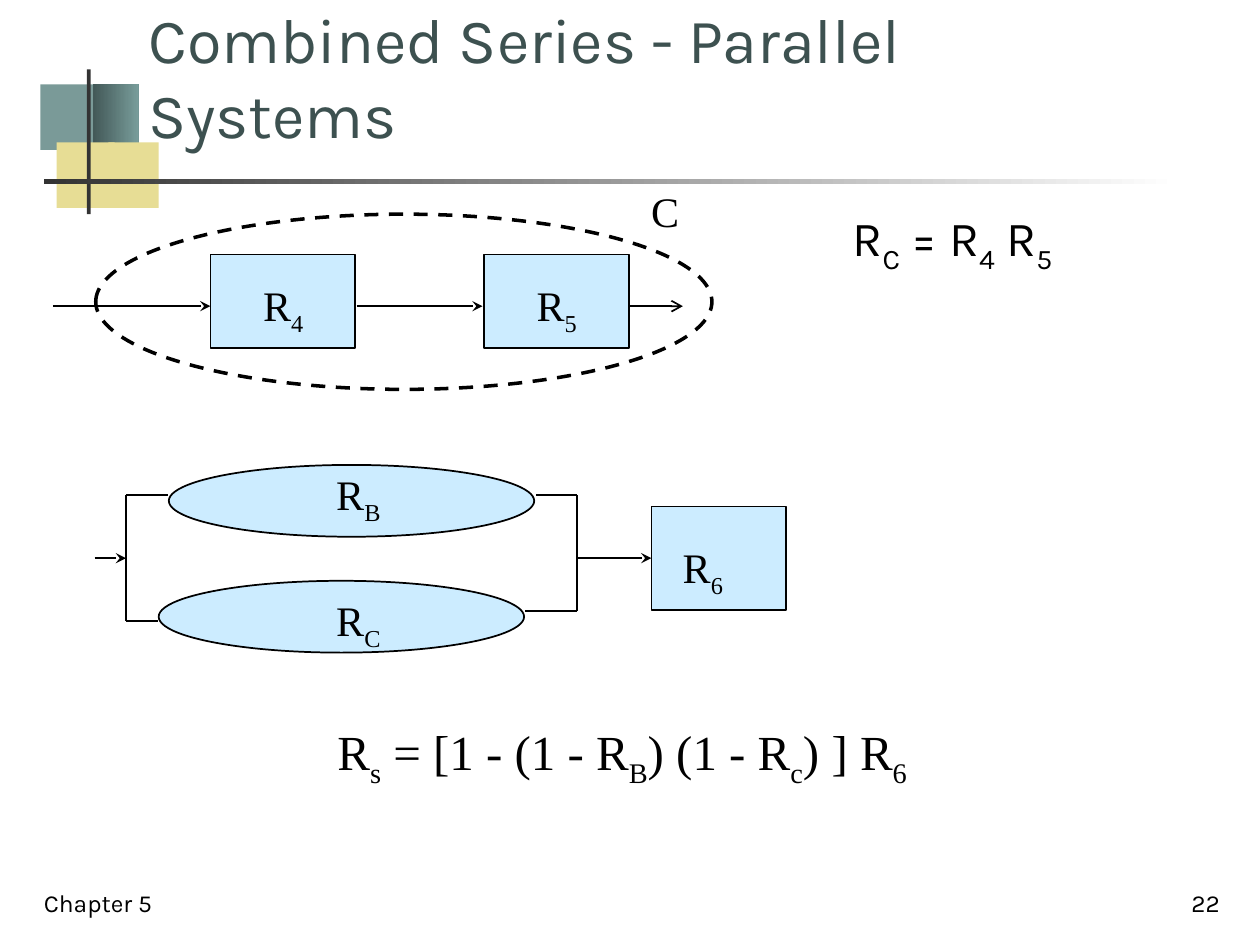
from lxml import etree
from pptx import Presentation, util as u
from pptx.dml.color import RGBColor
from pptx.enum import dml, shapes, text
from pptx.oxml.ns import qn

INK, SKY, SAND = "000000", "CCECFF", "E7DD95"
SANS, SERIF = "Karla", "Times New Roman"
RECT, OVAL = shapes.MSO_SHAPE.RECTANGLE, shapes.MSO_SHAPE.OVAL
LOW, RIGHT = text.MSO_ANCHOR.BOTTOM, text.PP_ALIGN.RIGHT


def tint(code):
    return RGBColor.from_string(code)


def inches(*nums):
    return [u.Inches(n) for n in nums]


def put(obj, opts):
    for key, val in opts.items():
        setattr(obj, key, val)


def form(tree, kind, box, fill=None, line=None, dash=None):
    """Draw a preset shape; a pair of colours makes a gradient."""
    shp = tree.add_shape(kind, *inches(*box))
    shp.shadow.inherit = False
    if isinstance(fill, tuple):
        shp.fill.gradient()
        shp.fill.gradient_angle = 0
        for stop, code in zip(shp.fill.gradient_stops, fill):
            stop.color.rgb = tint(code)
    elif fill:
        shp.fill.solid()
        shp.fill.fore_color.rgb = tint(fill)
    else:
        shp.fill.background()
    if line:
        shp.line.color.rgb = tint(INK)
        put(shp.line, {"width": u.Pt(line), "dash_style": dash})
    else:
        shp.line.fill.background()


def label(tree, box, words, size=24, font=SERIF, code=INK, frame=None, para=None):
    """Write text; every second part between bars is a subscript."""
    tf = tree.add_textbox(*inches(*box)).text_frame
    put(tf, {"word_wrap": False, **(frame or {})})
    p = tf.paragraphs[0]
    put(p, para or {})
    for i, part in enumerate(words.split("|")):
        if not part:
            continue
        run = p.add_run()
        run.text = part
        put(run.font, {"size": u.Pt(size), "name": font})
        run.font.color.rgb = tint(code)
        if i % 2:
            run.font._element.set("baseline", "-25000")


def wire(tree, start, end, head=None):
    """Draw a straight line, with an arrowhead at its end if named."""
    con = tree.add_connector(shapes.MSO_CONNECTOR.STRAIGHT, *inches(*start, *end))
    con.line.color.rgb = tint(INK)
    con.line.width = u.Pt(1)
    if head:
        etree.SubElement(con.line._get_or_add_ln(), qn("a:tailEnd"), type=head)
    etree.SubElement(con._element.spPr, qn("a:effectLst"))


def decor(tree):
    for box, fill in (
        ((0.32, 0.67, 0.48, 0.52), "7A9A98"),
        ((0.74, 0.67, 0.36, 0.52), ("435958", "789C9A")),
        ((0.45, 1.13, 0.46, 0.52), SAND),
        ((0.86, 1.13, 0.4, 0.52), SAND),
        ((0.69, 0.55, 0.03, 1.15), "333333"),
        ((0.35, 1.42, 9, 0.04), ("333333", "FFFFFF")),
    ):
        form(tree, RECT, box, fill)


def series(tree):
    mid = 2.43
    for left, name in ((1.67, "R|4"), (3.84, "R|5")):
        form(tree, RECT, (left, 2.02, 1.15, 0.74), SKY, 1)
        label(tree, (left + 0.32, 2.17, 0.52, 0.56), name)
    for x1, x2, head in ((0.42, 1.67, "stealth"), (2.83, 3.83, "stealth"),
                         (5, 5.42, "arrow")):
        wire(tree, (x1, mid), (x2, mid), head)
    form(tree, OVAL, (0.76, 1.7, 4.89, 1.39), line=2, dash=dml.MSO_LINE.DASH)
    label(tree, (5.07, 1.42, 0.42, 0.5), "C")


def parallel(tree):
    top, mid = 3.93, 4.43
    # Blocks
    form(tree, OVAL, (1.26, 4.61, 2.9, 0.57), SKY, 1)
    form(tree, OVAL, (1.34, 3.69, 2.9, 0.57), SKY, 1)
    form(tree, RECT, (5.17, 4.02, 1.07, 0.82), SKY, 1)
    label(tree, (5.32, 4.25, 0.61, 0.56), "R|6")
    for y, name in ((3.67, "R|B"), (4.67, "R|C")):
        label(tree, (2.57, y, 0.55, 0.56), name)
    # Brackets: stem, low end, upper and lower reach
    for x, low, near, far in ((4.58, 4.85, 4.25, 4.17), (1, 4.93, 1.33, 1.25)):
        wire(tree, (x, top), (x, low))
        wire(tree, (x, top), (near, top))
        wire(tree, (x, low), (far, low))
    # Flow in and out
    for x1, x2 in ((0.75, 1), (4.58, 5.17)):
        wire(tree, (x1, mid), (x2, mid), "stealth")


def main():
    prs = Presentation()
    put(prs, {"slide_width": u.Inches(10), "slide_height": u.Inches(7.5)})
    tree = prs.slides.add_slide(prs.slide_layouts[6]).shapes
    wrap = {"word_wrap": True}
    foot = {**wrap, "vertical_anchor": LOW}

    decor(tree)
    # Title and formula for the series part
    label(tree, (1.08, 0.51, 8.24, 0.74), "Combined Series - Parallel Systems",
          36, SANS, "3D5150", {**foot, "margin_right": u.Inches(0.4)})
    label(tree, (6.67, 1.6, 2.07, 0.88), "R|C| = R|4| R|5", 28, SANS,
          frame=wrap, para={"space_before": u.Pt(7)})
    # Footer
    label(tree, (0.25, 6.83, 2.08, 0.5), "Chapter 5", 14, SANS, frame=foot)
    label(tree, (7.7, 6.83, 2.08, 0.5), "22", 14, SANS, frame=foot,
          para={"alignment": RIGHT})
    # Diagrams
    series(tree.add_group_shape().shapes)
    parallel(tree.add_group_shape().shapes)
    # Formula for the whole system
    label(tree, (2.58, 5.68, 5.1, 0.63),
          "R|s| = [1 - (1 - R|B|) (1 - R|c|) ] R|6", 28, frame=wrap)
    prs.save("out.pptx")


if __name__ == "__main__":
    main()
